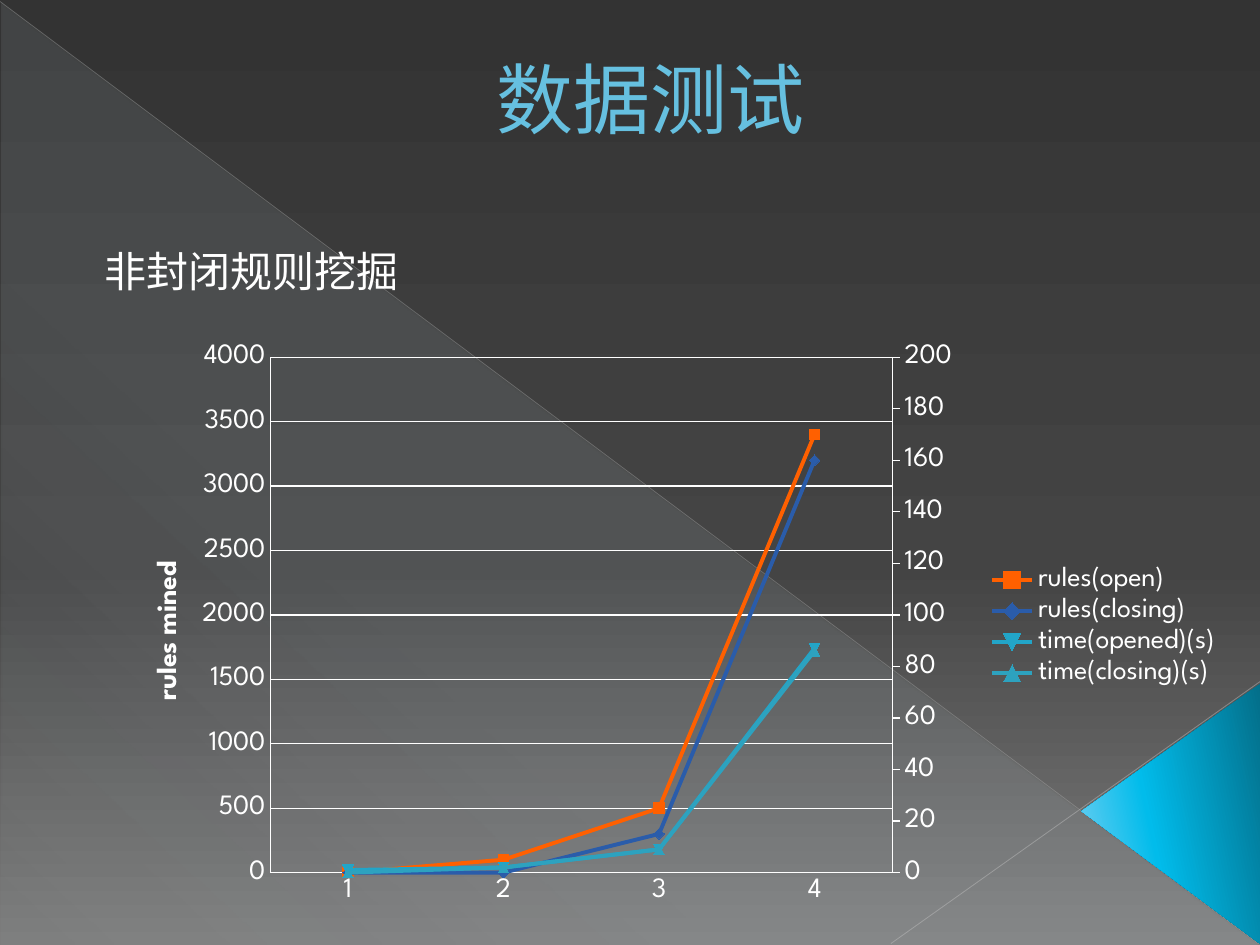
from copy import deepcopy

from lxml import etree
from pptx import Presentation
from pptx.chart.data import CategoryChartData
from pptx.dml.color import RGBColor
from pptx.enum.chart import XL_CHART_TYPE as Chart, XL_LEGEND_POSITION as LegendPos
from pptx.enum.chart import XL_TICK_MARK as Tick
from pptx.enum.shapes import MSO_CONNECTOR as Connector, MSO_SHAPE as Shape
from pptx.enum.text import MSO_ANCHOR as Anchor, PP_ALIGN as Align
from pptx.oxml import parse_xml
from pptx.oxml.ns import nsdecls, qn
from pptx.util import Cm, Pt

FONT = "League Spartan"
WHITE = "FFFFFF"
SERIES = [
    ("rules(open)", (0, 100, 500, 3400), "FF6000"),
    ("rules(closing)", (0, 0, 300, 3200), "2A5CAA"),
    ("time(opened)(s)", (1, 2, 9, 87), "22A5C8"),
    ("time(closing)(s)", (0, 2, 9, 86), "2DA2BF"),
]


def rgb(value):
    """Turn a hex string into a colour."""
    return RGBColor.from_string(value)


def add_alpha(parent, percent):
    """Set the opacity of the solid colour below parent."""
    color = next(parent.iter(qn("a:srgbClr")))
    etree.SubElement(color, qn("a:alpha")).set("val", str(percent * 1000))


def set_gradient(fill, parent, stops, angle):
    """Fill with a linear gradient of (position, colour, opacity) stops."""
    fill.solid()
    gs = "".join(
        f'<a:gs pos="{pos * 1000}"><a:srgbClr val="{color}">'
        f'<a:alpha val="{alpha * 1000}"/></a:srgbClr></a:gs>'
        for pos, color, alpha in stops)
    grad = parse_xml(
        f'<a:gradFill {nsdecls("a")} rotWithShape="1"><a:gsLst>{gs}</a:gsLst>'
        f'<a:lin ang="{angle * 60000}" scaled="0"/></a:gradFill>')
    parent.replace(parent.find(qn("a:solidFill")), grad)


def add_triangle(s, kind, box, stops, angle):
    """Add a triangle with a gradient and no outline."""
    sp = s.shapes.add_shape(kind, *map(Cm, box))
    sp.shadow.inherit = False
    set_gradient(sp.fill, sp._element.spPr, stops, angle)
    sp.line.fill.background()
    return sp


def add_line(s, ends, color, width, alpha):
    """Add a thin translucent line."""
    line = s.shapes.add_connector(Connector.STRAIGHT, *map(Cm, ends))
    line.line.color.rgb = rgb(color)
    line.line.width = Pt(width)
    spPr = line._element.spPr
    add_alpha(spPr, alpha)
    etree.SubElement(spPr, qn("a:effectLst"))


def add_text(s, box, text, size, color):
    """Add a one-paragraph text box and return its frame."""
    tf = s.shapes.add_textbox(*map(Cm, box)).text_frame
    tf.word_wrap = True
    p = tf.paragraphs[0]
    p.text = text
    p.font.name, p.font.size = FONT, Pt(size)
    p.font.color.rgb = rgb(color)
    return tf


def add_title(s):
    """Add the centred, outlined heading."""
    tf = add_text(s, (1.02, 0.36, 22.86, 2.67), "数据测试", 44, "66C0E0")
    tf.vertical_anchor = Anchor.BOTTOM
    p = tf.paragraphs[0]
    p.alignment = Align.CENTER
    p._p.get_or_add_pPr().set("marL", str(Cm(1.35)))
    p.runs[0]._r.get_or_add_rPr().insert(0, parse_xml(
        f'<a:ln {nsdecls("a")} w="6350"><a:solidFill><a:srgbClr val="1F7084"/>'
        '</a:solidFill></a:ln>'))


def set_layout(element, index, inner=False, **parts):
    """Place a chart part by fractions of the chart."""
    for old in element.findall(qn("c:layout")):
        element.remove(old)
    target = '<c:layoutTarget val="inner"/>' if inner else ""
    modes = "".join(f'<c:{k}Mode val="edge"/>' for k in parts if k in "xy")
    values = "".join(f'<c:{k} val="{v}"/>' for k, v in parts.items())
    element.insert(index, parse_xml(
        f'<c:layout {nsdecls("c")}><c:manualLayout>{target}{modes}{values}'
        '</c:manualLayout></c:layout>'))


def style_axis(axis):
    """Give an axis a thin white line without ticks."""
    axis.major_tick_mark = axis.minor_tick_mark = Tick.NONE
    axis.format.line.color.rgb = rgb(WHITE)
    axis.format.line.width = Pt(0.75)


def add_right_axis(chart, first):
    """Move the series from index first on to a second value axis."""
    plot_area = chart._chartSpace.chart.plotArea
    left = plot_area.find(qn("c:lineChart"))
    right = deepcopy(left)
    for group, unwanted in ((left, slice(first, None)), (right, slice(first))):
        for ser in group.findall(qn("c:ser"))[unwanted]:
            group.remove(ser)
    left.addnext(right)
    cat, val = (plot_area.find(qn(tag)) for tag in ("c:catAx", "c:valAx"))
    cat2, val2 = deepcopy(cat), deepcopy(val)
    for ax_id, number in zip(right.findall(qn("c:axId")), ("5001", "5002")):
        ax_id.set("val", number)
    for axis, own, other in ((cat2, "5001", "5002"), (val2, "5002", "5001")):
        axis.find(qn("c:axId")).set("val", own)
        axis.find(qn("c:crossAx")).set("val", other)
    cat2.find(qn("c:delete")).set("val", "1")
    for tag in ("c:majorGridlines", "c:title"):
        val2.remove(val2.find(qn(tag)))
    val2.find(qn("c:axPos")).set("val", "r")
    val2.find(qn("c:majorTickMark")).set("val", "out")
    val2.find(qn("c:crosses")).set("val", "max")
    val2.find(qn("c:scaling")).find(qn("c:max")).set("val", "200")
    val2.find(qn("c:majorUnit")).set("val", "20")
    val.addnext(val2)
    val2.addnext(cat2)


def add_rules_chart(s):
    """Add the line chart of rules mined and time taken."""
    data = CategoryChartData()
    data.categories = ["1", "2", "3", "4"]
    for name, values, _ in SERIES:
        data.add_series(name, values)
    box = map(Cm, (2.31, 6.73, 22.4, 11.81))
    chart = s.shapes.add_chart(Chart.LINE_MARKERS, *box, data).chart
    chart.has_title = False
    chart.font.name, chart.font.size = FONT, Pt(16)
    chart.font.color.rgb = rgb(WHITE)
    chart.plots[0].vary_by_categories = False
    for ser, (_, _, color) in zip(chart.plots[0].series, SERIES):
        ser.smooth = False
        ser.format.line.color.rgb = rgb(color)
        ser.format.line.width = Pt(2.25)
        ser.marker.size = 6
        ser.marker.format.fill.solid()
        ser.marker.format.fill.fore_color.rgb = rgb(color)
        ser.marker.format.line.color.rgb = rgb(color)

    val = chart.value_axis
    style_axis(chart.category_axis)
    style_axis(val)
    val.minimum_scale, val.maximum_scale, val.major_unit = 0, 4000, 500
    val.major_gridlines.format.line.color.rgb = rgb(WHITE)
    val.major_gridlines.format.line.width = Pt(0.75)
    tf = val.axis_title.text_frame
    tf.text = "rules mined"
    tf._txBody.bodyPr.set("rot", "-5400000")
    tf._txBody.bodyPr.set("vert", "horz")
    font = tf.paragraphs[0].font
    font.name, font.size, font.bold = FONT, Pt(16), True
    font.color.rgb = rgb(WHITE)
    set_layout(val.axis_title._element, 1, x=0.03, y=0.38)

    chart.has_legend = True
    chart.legend.position = LegendPos.RIGHT
    chart.legend.include_in_layout = False
    set_layout(chart.legend._element, 1, x=0.78, y=0.39, w=0.22, h=0.22)
    set_layout(chart._chartSpace.chart.plotArea, 0, inner=True,
               x=0.14, y=0.04, w=0.56, h=0.88)
    add_right_axis(chart, 2)


def main():
    """Build the slide and save it."""
    prs = Presentation()
    prs.slide_width, prs.slide_height = Cm(25.4), Cm(19.05)
    s = prs.slides.add_slide(prs.slide_layouts[6])
    bg = s.background.fill
    set_gradient(bg, s._element.cSld.find(qn("p:bg")).find(qn("p:bgPr")),
                 [(0, "333333", 100), (60, "444444", 100), (100, "7D7D7D", 100)], 90)
    add_triangle(s, Shape.RIGHT_TRIANGLE, (0.03, 0.05, 25.35, 19),
                 [(0, "DEF5FA", 10), (70, "DEF5FA", 8), (100, "DEF5FA", 1)], 133)
    add_line(s, (0, 0.03, 25.37, 19.02), "B9B9B9", 0.39, 35)
    add_line(s, (25.4, 13.74, 17.96, 19.02), "C1C1C1", 0.47, 45)
    corner = add_triangle(
        s, Shape.ISOSCELES_TRIANGLE, (20.98, 14.6, 5.26, 3.61),
        [(0, "036E89", 100), (60, "01BCEB", 100), (100, "7CD1F2", 100)], 258)
    corner.rotation = 270
    corner.adjustments[0] = 0.51
    add_title(s)
    tf = add_text(s, (1.85, 4.32, 23.55, 1.55), "非封闭规则挖掘", 24, WHITE)
    tf.paragraphs[0].line_spacing = 1.5
    add_rules_chart(s)
    prs.save("out.pptx")


main()
